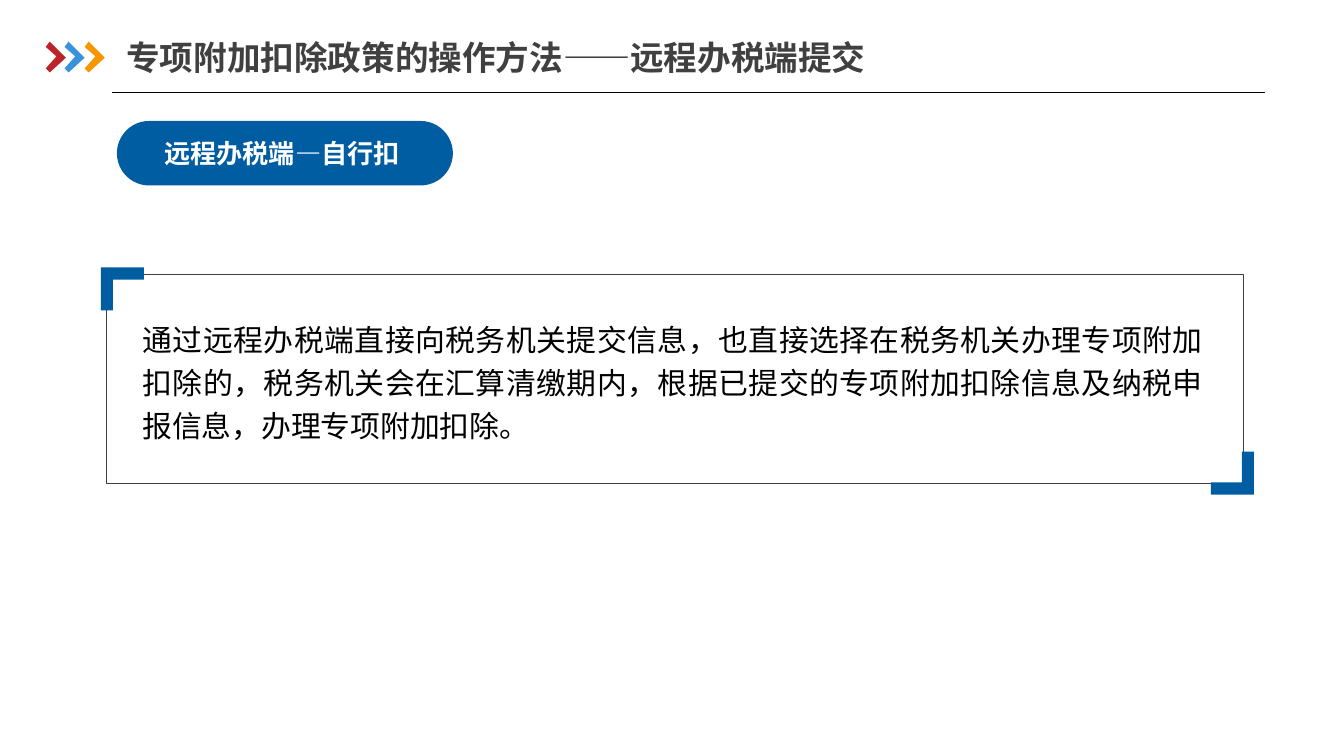
"""Build the slide on submitting special additional deductions through the remote tax client."""
from lxml import etree
from pptx import Presentation
from pptx.dml.color import RGBColor
from pptx.enum.shapes import MSO_CONNECTOR, MSO_SHAPE
from pptx.enum.text import MSO_ANCHOR, PP_ALIGN
from pptx.oxml.ns import qn
from pptx.util import Inches, Pt

STRAIGHT = MSO_CONNECTOR.STRAIGHT
RECTANGLE, ROUNDED = MSO_SHAPE.RECTANGLE, MSO_SHAPE.ROUNDED_RECTANGLE
TOP, MIDDLE = MSO_ANCHOR.TOP, MSO_ANCHOR.MIDDLE
LEFT, CENTER, JUSTIFY = PP_ALIGN.LEFT, PP_ALIGN.CENTER, PP_ALIGN.JUSTIFY

TITLE = "专项附加扣除政策的操作方法——远程办税端提交"
LABEL = "远程办税端—自行扣"
BODY = (
    "通过远程办税端直接向税务机关提交信息，也直接选择在税务机关办理专项附加扣除的，"
    "税务机关会在汇算清缴期内，根据已提交的专项附加扣除信息及纳税申报信息，办理专项附加扣除。"
)
COLORS = {
    "red": "BC242A", "sky": "3992DB", "orange": "F79600", "blue": "005DA2",
    "gray": "404040", "black": "000000", "white": "FFFFFF",
}
HEADING_FONT, BODY_FONT = "Noto Sans CJK SC", "Calibri"
SLIDE_WIDTH = Inches(10)
SLIDE_HEIGHT = SLIDE_WIDTH * 9 // 16

CHEVRONS = [(0.34, "red"), (0.48, "sky"), (0.63, "orange")]
CHEVRON_TOP = 0.31
CHEVRON_OUTLINE = [(0.03, 0.23), (0, 0.2), (0.08, 0.11), (0, 0.04), (0.03, 0), (0.15, 0.12)]
BRACKETS = [(0.75, 1.99, 1), (9.33, 3.68, -1)]
ARM, THICK = 0.32, 0.09
BRACKET_OUTLINE = [(0, 0), (ARM, 0), (ARM, THICK), (THICK, THICK), (THICK, ARM), (0, ARM)]


def rgb(name):
    return RGBColor.from_string(COLORS[name])


def write(shape, text, *, size, color, font, bold=False, align=LEFT,
          anchor=MIDDLE, insets=(0, 0, 0, 0), spacing=1.0):
    frame = shape.text_frame
    frame.word_wrap = True
    frame.vertical_anchor = anchor
    frame.margin_left, frame.margin_top, frame.margin_right, frame.margin_bottom = map(Inches, insets)
    paragraph = frame.paragraphs[0]
    paragraph.alignment = align
    paragraph.line_spacing = spacing
    run = paragraph.add_run()
    run.text = text
    run.font.size, run.font.bold, run.font.name = Pt(size), bold, font
    run.font.color.rgb = rgb(color)
    etree.SubElement(run.font._element, qn("a:ea"), typeface=font)


def add_panel(slide, kind, box):
    panel = slide.shapes.add_shape(kind, *map(Inches, box))
    panel.shadow.inherit = False
    return panel


def add_outline(slide, points, color):
    points = [(Inches(x), Inches(y)) for x, y in points]
    builder = slide.shapes.build_freeform(*points[0])
    builder.add_line_segments(points[1:], close=True)
    outline = builder.convert_to_shape()
    outline.shadow.inherit = False
    outline.fill.solid()
    outline.fill.fore_color.rgb = rgb(color)
    outline.line.fill.background()


def main():
    deck = Presentation()
    deck.slide_width, deck.slide_height = SLIDE_WIDTH, SLIDE_HEIGHT
    slide = deck.slides.add_slide(deck.slide_layouts[5])

    title = slide.shapes.title
    title.left, title.top, title.width, title.height = map(Inches, (0.94, 0.22, 5.8, 0.41))
    write(title, TITLE, size=18, color="gray", font=HEADING_FONT, bold=True,
          insets=(0, 0.05, 0, 0.05))

    for left, color in CHEVRONS:
        add_outline(slide, [(left + x, CHEVRON_TOP + y) for x, y in CHEVRON_OUTLINE], color)

    rule = slide.shapes.add_connector(
        STRAIGHT, Inches(0.83), Inches(0.69), Inches(9.41), Inches(0.69))
    rule.line.color.rgb = rgb("black")
    rule.line.width = Pt(0.75)
    etree.SubElement(rule._element.spPr, qn("a:effectLst"))

    pill = add_panel(slide, ROUNDED, (0.87, 0.9, 2.5, 0.48))
    pill.adjustments[0] = 0.5
    pill.fill.solid()
    pill.fill.fore_color.rgb = rgb("blue")
    pill.line.fill.background()
    write(pill, LABEL, size=14, color="white", font=HEADING_FONT, bold=True,
          align=CENTER, insets=(0, 0.03, 0.04, 0), spacing=0.9)

    card = add_panel(slide, RECTANGLE, (0.79, 2.04, 8.46, 1.56))
    card.fill.background()
    card.line.color.rgb = rgb("gray")
    card.line.width = Pt(0.25)
    write(card, BODY, size=16, color="black", font=BODY_FONT, align=JUSTIFY,
          anchor=TOP, insets=(0.27, 0.3, 0.29, 0), spacing=1.2)

    for corner_x, corner_y, way in BRACKETS:
        add_outline(slide, [(corner_x + way * x, corner_y + way * y)
                            for x, y in BRACKET_OUTLINE], "blue")

    deck.save("out.pptx")


if __name__ == "__main__":
    main()
